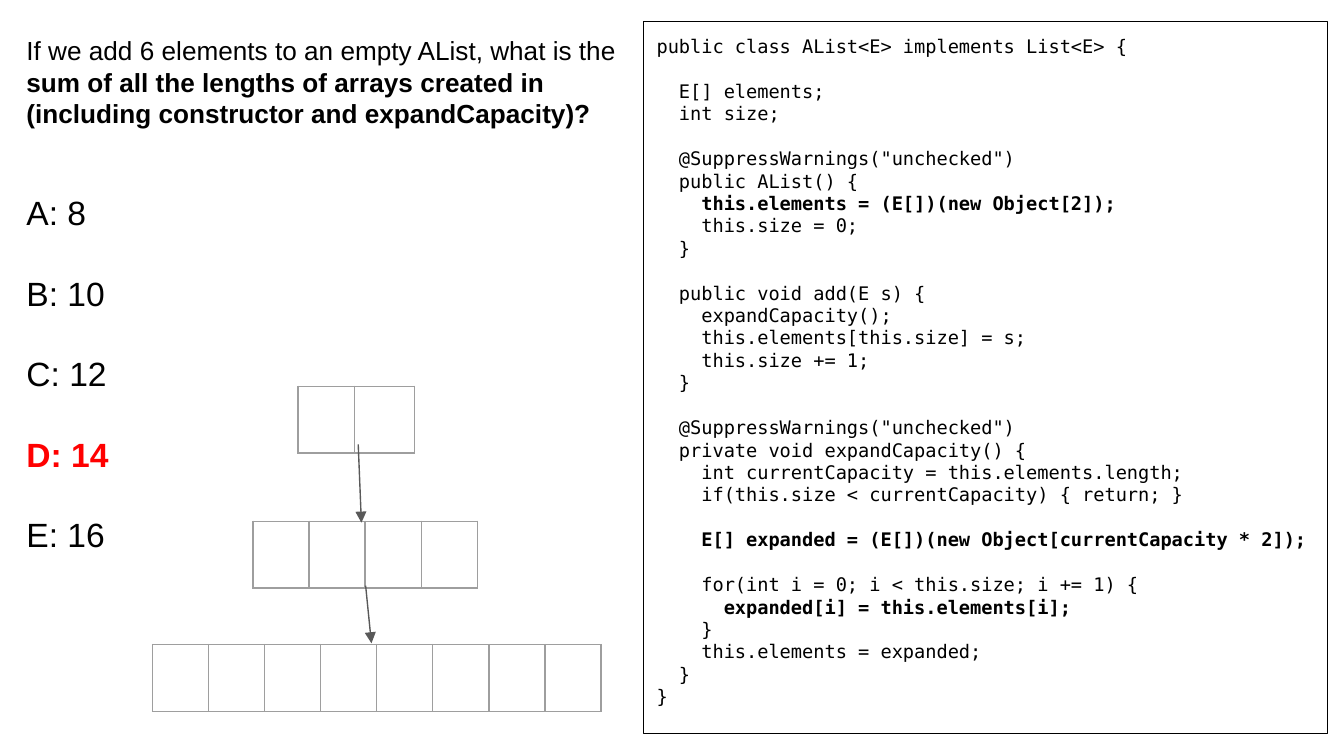
"""Build a quiz slide about array growth in an array list."""
from lxml import etree
from pptx import Presentation
from pptx import util as u
from pptx.dml.color import RGBColor
from pptx.enum import shapes, text
from pptx.oxml.ns import qn

BLACK = RGBColor(0x00, 0x00, 0x00)
RED = RGBColor(0xFF, 0x00, 0x00)
ARROW_GREY = RGBColor(0x59, 0x59, 0x59)
BORDER_GREY = RGBColor(0x9E, 0x9E, 0x9E)
INSET = u.Cm(0.25)
THIN = u.Pt(0.75)

CODE = """\
public class AList<E> implements List<E> {

  E[] elements;
  int size;

  @SuppressWarnings("unchecked")
  public AList() {
    this.elements = (E[])(new Object[2]);
    this.size = 0;
  }

  public void add(E s) {
    expandCapacity();
    this.elements[this.size] = s;
    this.size += 1;
  }

  @SuppressWarnings("unchecked")
  private void expandCapacity() {
    int currentCapacity = this.elements.length;
    if(this.size < currentCapacity) { return; }

    E[] expanded = (E[])(new Object[currentCapacity * 2]);

    for(int i = 0; i < this.size; i += 1) {
      expanded[i] = this.elements[i];
    }
    this.elements = expanded;
  }
}"""
BOLD_CODE = ("new Object[", "expanded[i]")
QUESTION = (
    ("If we add 6 elements to an empty AList, what is the ", False),
    ("sum of all the lengths of arrays created in "
     "(including constructor and expandCapacity)?", True),
)
ANSWERS = ("A: 8", "B: 10", "C: 12", "D: 14", "E: 16")
CORRECT = "D: 14"


def set_frame(sp):
    tf = sp.text_frame
    fmt = dict(word_wrap=True, vertical_anchor=text.MSO_ANCHOR.TOP,
               margin_left=INSET, margin_right=INSET,
               margin_top=INSET, margin_bottom=INSET)
    for name, value in fmt.items():
        setattr(tf, name, value)
    return tf


def add_paragraph(tf, first, gap=0):
    p = tf.paragraphs[0] if first else tf.add_paragraph()
    p.alignment = text.PP_ALIGN.LEFT
    if gap:
        p.space_before = u.Pt(gap)
    return p


def add_run(p, words, size, font="Arial", bold=False, color=BLACK):
    r = p.add_run()
    r.text = words
    for name, value in dict(name=font, size=u.Pt(size), bold=bold).items():
        setattr(r.font, name, value)
    r.font.color.rgb = color


def add_code(s):
    sp = s.shapes.add_shape(shapes.MSO_SHAPE.RECTANGLE, u.Cm(12.16),
                            u.Cm(0.41), u.Cm(12.93), u.Cm(13.46))
    sp.shadow.inherit = False
    sp.fill.background()
    sp.line.color.rgb = BLACK
    sp.line.width = THIN
    tf = set_frame(sp)
    for i, block in enumerate(CODE.split("\n\n")):
        for j, line in enumerate(block.split("\n")):
            p = add_paragraph(tf, i + j == 0, 12 if i and j == 0 else 0)
            add_run(p, line, 10, "DejaVu Sans Mono",
                    any(mark in line for mark in BOLD_CODE))


def add_question(s):
    tf = set_frame(s.shapes.add_textbox(u.Cm(0.25), u.Cm(0.41),
                                        u.Cm(11.81), u.Cm(8.46)))
    p = add_paragraph(tf, True)
    for words, bold in QUESTION:
        add_run(p, words, 14, bold=bold)
    for i, answer in enumerate(ANSWERS):
        right = answer == CORRECT
        p = add_paragraph(tf, False, 21.6 if i else 33.7)
        add_run(p, answer, 18, bold=right, color=RED if right else BLACK)


def set_borders(cell):
    tc_pr = cell._tc.get_or_add_tcPr()
    for i, side in enumerate(("a:lnL", "a:lnR", "a:lnT", "a:lnB")):
        ln = etree.Element(qn(side), w=str(int(THIN)))
        fill = etree.SubElement(ln, qn("a:solidFill"))
        etree.SubElement(fill, qn("a:srgbClr"), val=str(BORDER_GREY))
        tc_pr.insert(i, ln)


def add_array(s, x, y, widths):
    row_height = u.Cm(1.08)
    table = s.shapes.add_table(1, len(widths), u.Cm(x), u.Cm(y),
                               u.Cm(sum(widths)), row_height).table
    table.first_row = table.horz_banding = False
    table.rows[0].height = row_height
    for col, width in zip(table.columns, widths):
        col.width = u.Cm(width)
    for cell in table.iter_cells():
        cell.margin_left = cell.margin_right = INSET
        cell.margin_top = cell.margin_bottom = INSET
        cell.fill.background()
        set_borders(cell)


def add_arrow(s, x1, y1, x2, y2):
    c = s.shapes.add_connector(shapes.MSO_CONNECTOR.STRAIGHT,
                               u.Cm(x1), u.Cm(y1), u.Cm(x2), u.Cm(y2))
    c.line.color.rgb = ARROW_GREY
    c.line.width = THIN
    etree.SubElement(c.line._get_or_add_ln(), qn("a:tailEnd"), type="triangle")
    etree.SubElement(c._element.spPr, qn("a:effectLst"))


def main():
    prs = Presentation()
    prs.slide_width, prs.slide_height = u.Cm(25.4), u.Cm(14.29)
    s = prs.slides.add_slide(prs.slide_layouts[6])
    add_code(s)
    add_question(s)
    four = [1.06] * 4
    add_array(s, 5.63, 7.3, [1.07, 1.14])
    add_array(s, 4.78, 9.85, four)
    for x in (7.12, 2.88):
        add_array(s, x, 12.18, four)
    add_arrow(s, 6.77, 8.4, 6.83, 9.88)
    add_arrow(s, 6.91, 11.07, 7.02, 12.16)
    prs.save("out.pptx")


if __name__ == "__main__":
    main()
